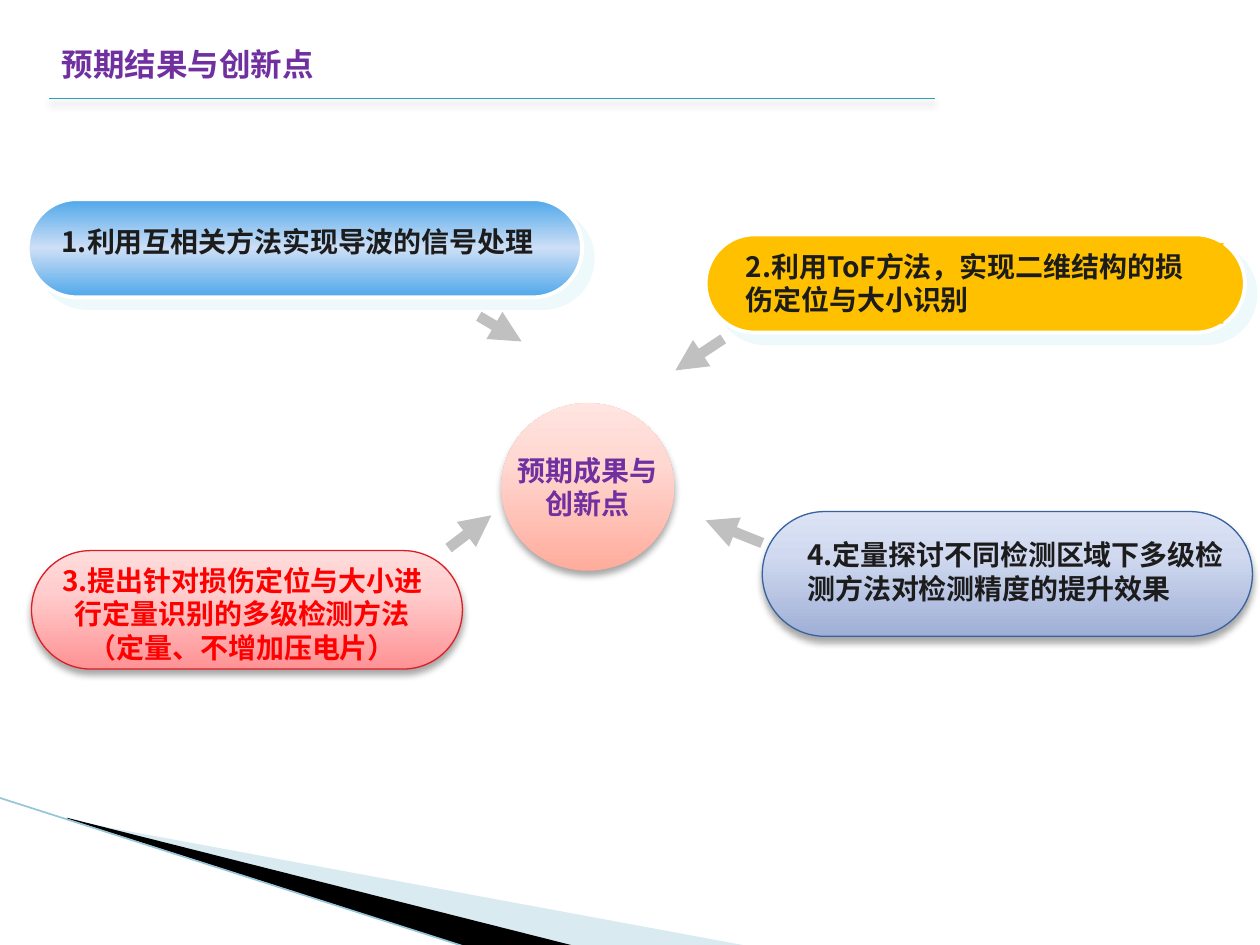
from dataclasses import dataclass

from lxml import etree
from pptx import Presentation
from pptx.dml.color import RGBColor
from pptx.enum.shapes import MSO_CONNECTOR, MSO_SHAPE
from pptx.enum.text import MSO_ANCHOR, MSO_AUTO_SIZE, PP_ALIGN
from pptx.oxml.ns import qn
from pptx.util import Emu, Inches, Pt

STRAIGHT = MSO_CONNECTOR.STRAIGHT
PILL, OVAL = MSO_SHAPE.ROUNDED_RECTANGLE, MSO_SHAPE.OVAL
LEFT, CENTER = PP_ALIGN.LEFT, PP_ALIGN.CENTER
TOP, MIDDLE = MSO_ANCHOR.TOP, MSO_ANCHOR.MIDDLE
COLUMNS, ROWS = 100, 75
TITLE_ONLY = 5


@dataclass(frozen=True)
class Theme:
    font: str = "Noto Sans CJK SC"
    center_font: str = "Arial"
    title_size: int = 18
    body_size: int = 16
    purple: str = "7030A0"
    ink: str = "1C1C1C"
    red: str = "FF0000"
    amber: str = "FFC000"
    white: str = "FFFFFF"
    black: str = "000000"
    arrow: str = "C0C0C0"
    rule: str = "2DA2BF"
    swoosh: str = "A0CBDC"
    swoosh_edge: str = "97C5D8"
    red_edge: str = "DA1F28"
    blue_edge: str = "39639D"
    # Gradient stops (position, colour), followed by the angle
    sky: tuple = ((0, "4EA7EA"), (50, "CDDFF6"), (100, "4EA7EA"), 90)
    coral: tuple = ((0, "FFAC9C"), (65, "FFD8D2"), (100, "FFE4DF"), 270)
    rose: tuple = ((0, "FF9294"), (65, "FFCDCD"), (100, "FFDCDC"), 270)
    lavender: tuple = ((0, "9FAFD6"), (65, "D0D9EF"), (100, "DCE3F6"), 270)
    # Shadows: colour, opacity, blur, distance, angle
    rule_shadow: tuple = ("000000", 40, 4, 3, 90)
    soft_shadow: tuple = ("000000", 35, 4, 3, 90)
    offset_shadow: tuple = ("DEF5FA", 50, 0, 8.5, 45)


def add_element(parent, tag, **attributes):
    values = {name: str(value) for name, value in attributes.items()}
    return etree.SubElement(parent, qn(tag), values)


def add_color(parent, color, opacity=100):
    element = add_element(parent, "a:srgbClr", val=color)
    if opacity < 100:
        add_element(element, "a:alpha", val=opacity * 1000)


def paint(shape, fill, opacity=100):
    """Fill with nothing, one colour, or a theme gradient."""
    if fill is None:
        shape.fill.background()
    elif isinstance(fill, str):
        shape.fill.solid()
        shape.fill.fore_color.rgb = RGBColor.from_string(fill)
        if opacity < 100:
            color = shape._element.spPr.find(qn("a:solidFill"))[0]
            add_element(color, "a:alpha", val=opacity * 1000)
    else:
        *stops, angle = fill
        shape.fill.gradient()
        gradient = shape._element.spPr.find(qn("a:gradFill"))
        for child in list(gradient):
            gradient.remove(child)
        stop_list = add_element(gradient, "a:gsLst")
        for position, color in stops:
            add_color(add_element(stop_list, "a:gs", pos=position * 1000), color)
        add_element(gradient, "a:lin", ang=angle * 60000, scaled=0)


def outline(shape, color, width):
    if color is None:
        shape.line.fill.background()
    else:
        shape.line.color.rgb = RGBColor.from_string(color)
        shape.line.width = Pt(width)


def cast(shape, shadow):
    """Replace the inherited shadow with the given one, or with none."""
    effects = add_element(shape._element.spPr, "a:effectLst")
    if shadow:
        color, opacity, blur, distance, angle = shadow
        outer = add_element(effects, "a:outerShdw", blurRad=Pt(blur), dist=Pt(distance),
                            dir=angle * 60000, algn="ctr", rotWithShape=0)
        add_color(outer, color, opacity)


def write(frame, text, *, font, size, color, align=LEFT, anchor=TOP, wrap=True):
    frame.text = text
    frame.auto_size = MSO_AUTO_SIZE.NONE
    frame.word_wrap = wrap
    frame.vertical_anchor = anchor
    for paragraph in frame.paragraphs:
        paragraph.alignment = align
        for run in paragraph.runs:
            run.font.name = font
            run.font.size = Pt(size)
            run.font.bold = True
            run.font.color.rgb = RGBColor.from_string(color)
            add_element(run.font._element, "a:ea", typeface=font)


class SlideBuilder:
    """Places styled elements on a grid of COLUMNS by ROWS."""

    def __init__(self, presentation, theme):
        self.theme = theme
        self.cell_width = presentation.slide_width / COLUMNS
        self.cell_height = presentation.slide_height / ROWS
        self.slide = presentation.slides.add_slide(presentation.slide_layouts[TITLE_ONLY])
        self.shapes = self.slide.shapes

    def place(self, column, row):
        return Emu(round(column * self.cell_width)), Emu(round(row * self.cell_height))

    def box(self, column, row, width, height):
        return *self.place(column, row), *self.place(width, height)

    def title(self, text, area):
        title = self.shapes.title
        title.left, title.top, title.width, title.height = self.box(*area)
        write(title.text_frame, text, font=self.theme.font,
              size=self.theme.title_size, color=self.theme.purple)

    def polygon(self, points, fill, opacity=100):
        start, *others = [self.place(*point) for point in points]
        builder = self.shapes.build_freeform(*start)
        builder.add_line_segments(others)
        shape = builder.convert_to_shape()
        paint(shape, fill, opacity)
        outline(shape, None, 0)
        cast(shape, None)

    def line(self, start, end, color, width, shadow=None, arrow=False):
        connector = self.shapes.add_connector(STRAIGHT, *self.place(*start), *self.place(*end))
        outline(connector, color, width)
        if arrow:
            add_element(connector.line._get_or_add_ln(), "a:tailEnd", type="triangle")
        cast(connector, shadow)

    def panel(self, kind, area, fill, edge=None, edge_width=0.75, shadow=None):
        shape = self.shapes.add_shape(kind, *self.box(*area))
        if kind == PILL:
            shape.adjustments[0] = 0.5
        paint(shape, fill)
        outline(shape, edge, edge_width)
        cast(shape, shadow)
        return shape

    def label(self, text, area, color, fill=None, align=LEFT):
        label = self.shapes.add_textbox(*self.box(*area))
        paint(label, fill)
        write(label.text_frame, text, font=self.theme.font,
              size=self.theme.body_size, color=color, align=align)


def main():
    presentation = Presentation()
    presentation.slide_width, presentation.slide_height = Inches(10), Inches(7.5)
    theme = Theme()
    builder = SlideBuilder(presentation, theme)

    builder.polygon([(5.5, 65.1), (59.5, 75.1), (45.6, 75.1), (5.5, 65)], theme.swoosh, 40)
    builder.polygon([(5.3, 64.9), (45.7, 75.1), (37.2, 75.2), (5.4, 65)], theme.black)
    builder.line((-0.1, 63.3), (37.1, 75.2), theme.swoosh_edge, 0.95)

    builder.line((3.9, 7.8), (74.2, 7.8), theme.rule, 0.75, theme.rule_shadow)
    builder.title("预期结果与创新点", (3.9, 3.1, 77.3, 7.8))

    for start, end in (
        ((38, 25.1), (41.4, 27.1)),
        ((57.4, 26.9), (53.6, 29.4)),
        ((35.6, 43.5), (39, 40.9)),
        ((60.5, 43.1), (56, 41.3)),
    ):
        builder.line(start, end, theme.arrow, 6, arrow=True)

    center = builder.panel(OVAL, (39.8, 32, 13.7, 13.3), theme.coral, shadow=theme.soft_shadow)
    write(center.text_frame, "预期成果与\n创新点", font=theme.center_font, size=theme.body_size,
          color=theme.purple, align=CENTER, anchor=MIDDLE, wrap=False)

    builder.panel(PILL, (2.2, 15.8, 44, 7.8), theme.sky, theme.white, 2.25, theme.offset_shadow)
    builder.label("1.利用互相关方法实现导波的信号处理", (3.9, 17.3, 41.7, 3.7), theme.ink)

    builder.panel(PILL, (56, 18.6, 42.8, 7.8), theme.amber, theme.white, 2.25, theme.offset_shadow)
    builder.label("2.利用ToF方法，实现二维结构的损伤定位与大小识别",
                  (58.2, 19.3, 38.9, 6.4), theme.ink, fill=theme.amber)

    builder.panel(PILL, (2.5, 43.7, 34.2, 9.4), theme.rose, theme.red_edge,
                  shadow=theme.soft_shadow)
    builder.label("3.提出针对损伤定位与大小进行定量识别的多级检测方法（定量、不增加压电片）",
                  (2.9, 44.2, 32.7, 9.1), theme.red, align=CENTER)

    builder.panel(PILL, (60.5, 40.6, 38.9, 9.9), theme.lavender, theme.blue_edge,
                  shadow=theme.soft_shadow)
    builder.label("4.定量探讨不同检测区域下多级检测方法对检测精度的提升效果",
                  (63.1, 42.2, 36.3, 6.4), theme.ink)

    presentation.save("out.pptx")


if __name__ == "__main__":
    main()
